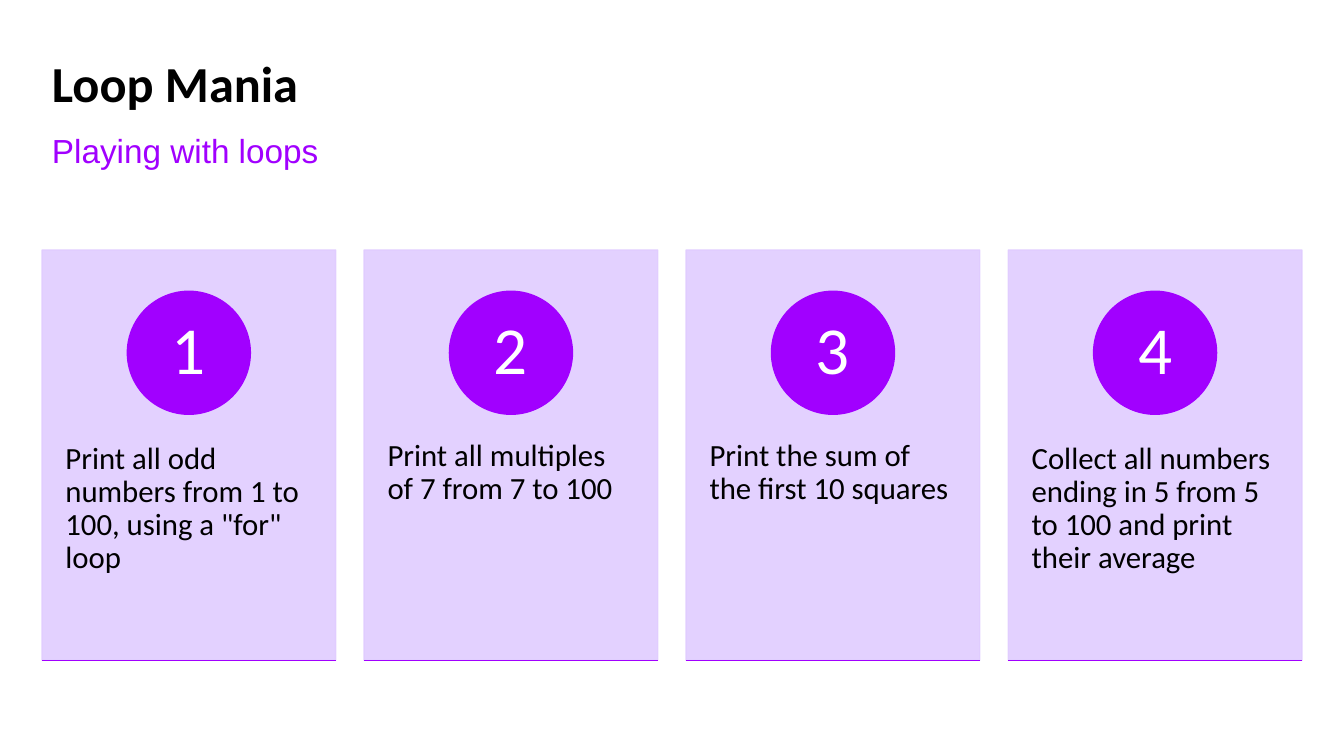
from lxml import etree
from pptx import Presentation
from pptx.dml.color import RGBColor
from pptx.enum import shapes, text
from pptx.oxml import ns
from pptx.util import Cm, Pt

TITLE = "Loop Mania"
SUBTITLE = "Playing with loops"
TASKS = [
    "Print all odd numbers from 1 to 100, using a \"for\" loop",
    "Print all multiples of 7 from 7 to 100",
    "Print the sum of the first 10 squares",
    "Collect all numbers ending in 5 from 5 to 100 and print their average",
]
COLOURS = {"black": "000000", "white": "FFFFFF", "purple": "A100FF", "lilac": "E0CCFF"}

SLIDE_WIDTH, SLIDE_HEIGHT = 33.87, 19.05
MARGIN = 1.06
CONTENT_WIDTH = SLIDE_WIDTH - 2 * MARGIN
CARD_TOP, CARD_WIDTH, CARD_HEIGHT = 6.3, 7.4, 10.34
CARD_STEP = (CONTENT_WIDTH - CARD_WIDTH) / (len(TASKS) - 1)
CIRCLE_SIZE, CIRCLE_DROP = 3.1, 1.04
TASK_DROP, TASK_HEIGHT = 3.94, 6.2


def colour(name):
    return RGBColor.from_string(COLOURS[name])


def write(shape, words, size, ink, font="Calibri", bold=False, spacing=0.9,
          before=0, align=text.PP_ALIGN.LEFT, anchor=text.MSO_ANCHOR.TOP,
          insets=(0.25, 0.13)):
    frame = shape.text_frame
    frame.text = words
    frame.word_wrap = True
    frame.vertical_anchor = anchor
    frame.margin_left = frame.margin_right = Cm(insets[0])
    frame.margin_top = frame.margin_bottom = Cm(insets[1])
    para = frame.paragraphs[0]
    para.alignment = align
    para.line_spacing = spacing
    para.space_before = Pt(before)
    span = para.runs[0]
    span.font.name = font
    span.font.size = Pt(size)
    span.font.bold = bold
    span.font.color.rgb = colour(ink)


def add_box(page, left, top, width, height):
    return page.shapes.add_textbox(Cm(left), Cm(top), Cm(width), Cm(height))


def add_filled(page, kind, left, top, width, height, name):
    shape = page.shapes.add_shape(kind, Cm(left), Cm(top), Cm(width), Cm(height))
    shape.shadow.inherit = False
    shape.fill.solid()
    shape.fill.fore_color.rgb = colour(name)
    shape.line.color.rgb = colour(name)
    shape.line.width = Pt(1)
    return shape


def set_opacity(shape, percent):
    for tint in shape._element.spPr.iter(ns.qn("a:srgbClr")):
        etree.SubElement(tint, ns.qn("a:alpha")).set("val", str(percent * 1000))


def add_card(page, number, task, left):
    card = add_filled(page, shapes.MSO_SHAPE.RECTANGLE, left, CARD_TOP,
                      CARD_WIDTH, CARD_HEIGHT, "lilac")
    set_opacity(card, 90)
    task_box = add_box(page, left, CARD_TOP + TASK_DROP, CARD_WIDTH, TASK_HEIGHT)
    write(task_box, task, 22, "black", insets=(0.59, 0.91))
    circle = add_filled(page, shapes.MSO_SHAPE.OVAL,
                        left + (CARD_WIDTH - CIRCLE_SIZE) / 2, CARD_TOP + CIRCLE_DROP,
                        CIRCLE_SIZE, CIRCLE_SIZE, "purple")
    write(circle, str(number), 48, "white", align=text.PP_ALIGN.CENTER,
          anchor=text.MSO_ANCHOR.MIDDLE, insets=(0.25, 0.03))
    bottom = Cm(CARD_TOP + CARD_HEIGHT)
    base = page.shapes.add_connector(shapes.MSO_CONNECTOR.STRAIGHT, Cm(left), bottom,
                                     Cm(left + CARD_WIDTH), bottom)
    base.line.color.rgb = colour("purple")
    base.line.width = Pt(1)
    etree.SubElement(base._element.spPr, ns.qn("a:effectLst"))


def main():
    deck = Presentation()
    deck.slide_width, deck.slide_height = Cm(SLIDE_WIDTH), Cm(SLIDE_HEIGHT)
    page = deck.slides.add_slide(deck.slide_layouts[6])
    title_box = add_box(page, MARGIN, 1.06, CONTENT_WIDTH, 2.24)
    write(title_box, TITLE, 36, "black", bold=True, anchor=text.MSO_ANCHOR.MIDDLE)
    for index, task in enumerate(TASKS):
        add_card(page, index + 1, task, MARGIN + index * CARD_STEP)
    subtitle_box = add_box(page, MARGIN, 3.43, CONTENT_WIDTH, 1.07)
    write(subtitle_box, SUBTITLE, 23.8, "purple", font="Arial", spacing=0.7, before=10)
    deck.save("out.pptx")


if __name__ == "__main__":
    main()
